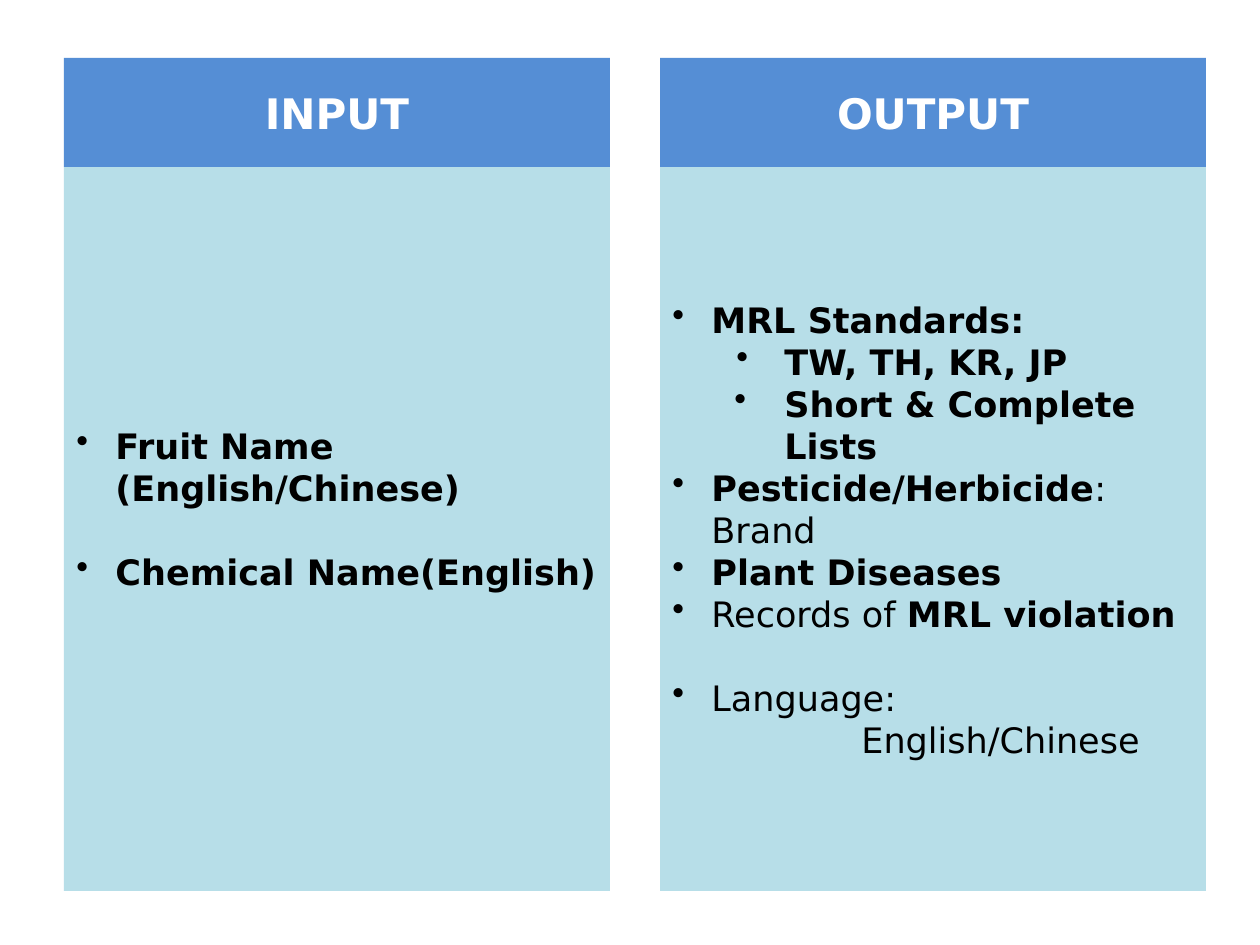
"""Builds a slide that sets the inputs of a lookup beside its outputs."""
from lxml import etree
from pptx import Presentation
from pptx.dml.color import RGBColor
from pptx.enum import shapes, text
from pptx.oxml.ns import qn
from pptx.util import Pt

SCALE = 914400 / 126
LEFT, TOP, WIDTH, PITCH = 64, 58, 546, 596
HEADER_HEIGHT, BODY_HEIGHT = 109, 724
BLANK_LINE = 42


def px(length):
    return round(length * SCALE)


def color(value):
    return RGBColor.from_string(value)


class Board:
    """Holds the style and the current slide."""

    header = {"size": Pt(24), "bold": True, "name": "DejaVu Sans"}
    body = {"size": Pt(20), "name": "DejaVu Sans"}

    def __init__(self, slide):
        self.slide = slide

    def panel(self, left, top, height, fill):
        panel = self.slide.shapes.add_shape(
            shapes.MSO_SHAPE.RECTANGLE, px(left), px(top), px(WIDTH), px(height))
        panel.shadow.inherit = False
        panel.fill.solid()
        panel.fill.fore_color.rgb = color(fill)
        panel.line.fill.background()
        frame = panel.text_frame
        frame.word_wrap = True
        frame.vertical_anchor = text.MSO_ANCHOR.MIDDLE
        return frame

    def add_words(self, paragraph, wording, ink, style):
        run = paragraph.add_run()
        run.text = wording
        run.font.color.rgb = color(ink)
        for key, value in style.items():
            setattr(run.font, key, value)

    def heading(self, left, wording):
        paragraph = self.panel(left, TOP, HEADER_HEIGHT, "558ED5").paragraphs[0]
        paragraph.alignment = text.PP_ALIGN.CENTER
        self.add_words(paragraph, wording, "FFFFFF", self.header)

    def listing(self, left, items, space_below):
        frame = self.panel(left, TOP + HEADER_HEIGHT, BODY_HEIGHT, "B7DEE8")
        frame.margin_bottom = px(6 + space_below)
        for index, item in enumerate(items):
            paragraph = frame.add_paragraph() if index else frame.paragraphs[0]
            self.item(paragraph, *item)

    def item(self, paragraph, runs, level=0, indent=39, hang=39, gap=0):
        paragraph.alignment = text.PP_ALIGN.LEFT
        paragraph.level = level
        paragraph.space_before = px(gap)
        properties = paragraph._p.get_or_add_pPr()
        for key, value in {"marL": px(indent), "indent": px(-hang)}.items():
            properties.set(key, str(value))
        if hang:
            etree.SubElement(properties, qn("a:buChar"), char="•")
        else:
            etree.SubElement(properties, qn("a:buNone"))
        for wording, bold in runs:
            self.add_words(paragraph, wording, "000000", {**self.body, "bold": bold})


def main():
    deck = Presentation()
    deck.slide_width, deck.slide_height = px(1260), px(945)
    board = Board(deck.slides.add_slide(deck.slide_layouts[6]))
    inputs = [
        ([("Fruit Name (English/Chinese)", True)],),
        ([("Chemical Name(English)", True)], 0, 39, 39, BLANK_LINE),
    ]
    outputs = [
        ([("MRL Standards:", True)],),
        ([("TW, TH, KR, JP", True)], 2, 112, 48),
        ([("Short & Complete Lists", True)], 2, 112, 50),
        ([("Pesticide/Herbicide", True), (": Brand", False)],),
        ([("Plant Diseases", True)],),
        ([("Records of ", False), ("MRL violation", True)],),
        ([("Language:", False)], 0, 39, 39, BLANK_LINE),
        ([("English/Chinese", False)], 1, 189, 0),
    ]
    columns = [("INPUT", inputs, BLANK_LINE), ("OUTPUT", outputs, 0)]
    for number, (title, items, space_below) in enumerate(columns):
        left = LEFT + number * PITCH
        board.heading(left, title)
        board.listing(left, items, space_below)
    deck.save("out.pptx")


if __name__ == "__main__":
    main()
